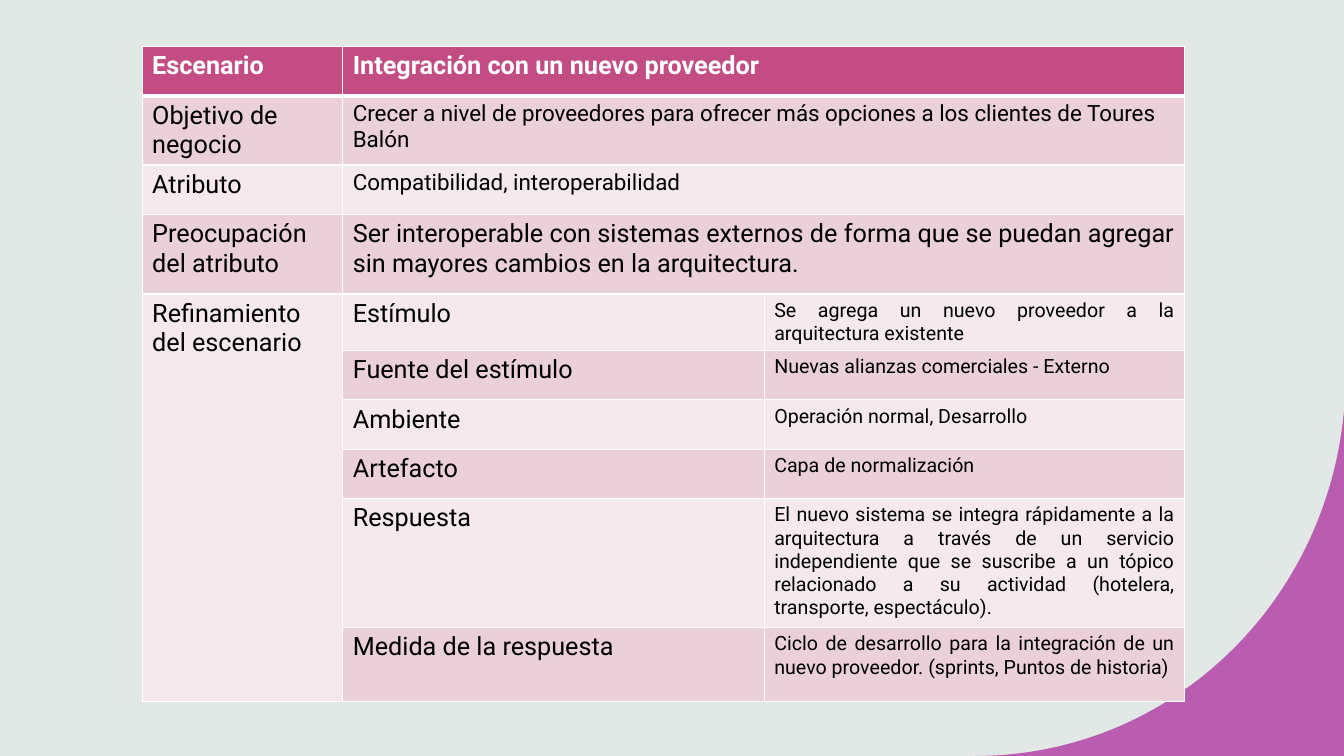
from typing import NamedTuple

from lxml import etree
from pptx import Presentation
from pptx.dml.color import RGBColor
from pptx.enum import text
from pptx.oxml.ns import qn
from pptx.util import Inches, Pt

COLORS = {
    "background": "E2E8E5",
    "corner": "B13BA3",
    "header": "C34D83",
    "dark_band": "E9D0D9",
    "light_band": "F5E9ED",
    "white": "FFFFFF",
    "black": "000000",
}
FONT = "Roboto"
COLUMN_WIDTHS = [1.99, 4.18, 4.17]
ROW_HEIGHTS = [0.49, 0.68, 0.49, 0.79, 0.56, 0.49, 0.49, 0.49, 1.28, 0.73]


class Entry(NamedTuple):
    row: int
    column: int
    words: str
    size: int = 18
    justified: bool = False
    rows: int = 1
    columns: int = 1


REFINEMENTS = [
    ("Estímulo", "Se agrega un nuevo proveedor a la arquitectura existente"),
    ("Fuente del estímulo", "Nuevas alianzas comerciales - Externo"),
    ("Ambiente", "Operación normal, Desarrollo"),
    ("Artefacto", "Capa de normalización"),
    ("Respuesta", "El nuevo sistema se integra rápidamente a la arquitectura a través de un "
     "servicio independiente que se suscribe a un tópico relacionado a su actividad "
     "(hotelera, transporte, espectáculo)."),
    ("Medida de la respuesta", "Ciclo de desarrollo para la integración de un nuevo "
     "proveedor. (sprints, Puntos de historia)"),
]
ENTRIES = [
    Entry(0, 0, "Escenario"),
    Entry(0, 1, "Integración con un nuevo proveedor", columns=2),
    Entry(1, 0, "Objetivo de negocio"),
    Entry(1, 1, "Crecer a nivel de proveedores para ofrecer más opciones a los clientes "
          "de Toures Balón", 16, columns=2),
    Entry(2, 0, "Atributo"),
    Entry(2, 1, "Compatibilidad, interoperabilidad", 16, columns=2),
    Entry(3, 0, "Preocupación del atributo"),
    Entry(3, 1, "Ser interoperable con sistemas externos de forma que se puedan agregar "
          "sin mayores cambios en la arquitectura.", justified=True, columns=2),
    Entry(4, 0, "Refinamiento del escenario", rows=len(REFINEMENTS)),
]
for row_index, (label, detail) in enumerate(REFINEMENTS, start=4):
    ENTRIES.append(Entry(row_index, 1, label, justified=True))
    ENTRIES.append(Entry(row_index, 2, detail, 14, justified=True))


def color(name: str) -> RGBColor:
    """Return a named colour."""
    return RGBColor.from_string(COLORS[name])


def curve_point(step: float) -> tuple[int, int]:
    """Return a point on the curved edge of the corner, in EMU."""
    weights = ((1 - step) ** 3, 3 * step * (1 - step) ** 2, 3 * step ** 2 * (1 - step), step ** 3)
    controls = ((9.67, 7.5), (11.58, 7.5), (13.15, 6.02), (13.33, 4.08))
    return tuple(Inches(sum(w * c[axis] for w, c in zip(weights, controls))) for axis in (0, 1))


def draw_corner(page) -> None:
    """Draw the translucent curved corner."""
    builder = page.shapes.build_freeform(Inches(9.67), Inches(7.5))
    edge = [curve_point(step / 60) for step in range(1, 61)]
    builder.add_line_segments(edge + [(Inches(13.33), Inches(7.5))])
    corner = builder.convert_to_shape()
    corner.shadow.inherit = False
    corner.line.fill.background()
    corner.fill.solid()
    corner.fill.fore_color.rgb = color("corner")
    tint = corner.fill._xPr.find(".//" + qn("a:srgbClr"))
    etree.SubElement(tint, qn("a:alpha"), val="80000")


def format_cell(cell, row: int, column: int) -> None:
    """Give a cell its white borders and band colour."""
    properties = cell._tc.get_or_add_tcPr()
    for index, side in enumerate(("L", "R", "T", "B")):
        thick = (row, side) in ((0, "B"), (1, "T"))
        border = etree.Element(qn(f"a:ln{side}"), w=str(Pt(3 if thick else 1)))
        paint = etree.SubElement(border, qn("a:solidFill"))
        etree.SubElement(paint, qn("a:srgbClr"), val=COLORS["white"])
        properties.insert(index, border)
    dark = row % 2 == 1 and not (column == 0 and row > 4)
    cell.fill.solid()
    cell.fill.fore_color.rgb = color("header" if row == 0 else "dark_band" if dark else "light_band")


def write_entry(table, entry: Entry) -> None:
    """Merge the cells of an entry and write its words."""
    cell = table.cell(entry.row, entry.column)
    if entry.rows * entry.columns > 1:
        cell.merge(table.cell(entry.row + entry.rows - 1, entry.column + entry.columns - 1))
    cell.text_frame.text = entry.words
    para = cell.text_frame.paragraphs[0]
    para.alignment = text.PP_ALIGN.JUSTIFY if entry.justified else text.PP_ALIGN.LEFT
    span = para.runs[0]
    span.font.name = FONT
    span.font.size = Pt(entry.size)
    span.font.bold = entry.row == 0
    span.font.color.rgb = color("white" if entry.row == 0 else "black")


def draw_table(page) -> None:
    """Draw the scenario table."""
    frame = page.shapes.add_table(
        len(ROW_HEIGHTS), len(COLUMN_WIDTHS), Inches(1.41), Inches(0.46),
        Inches(sum(COLUMN_WIDTHS)), Inches(sum(ROW_HEIGHTS)))
    table = frame.table
    for column, width in zip(table.columns, COLUMN_WIDTHS):
        column.width = Inches(width)
    for row, height in zip(table.rows, ROW_HEIGHTS):
        row.height = Inches(height)
    for row in range(len(ROW_HEIGHTS)):
        for column in range(len(COLUMN_WIDTHS)):
            format_cell(table.cell(row, column), row, column)
    for entry in ENTRIES:
        write_entry(table, entry)


def main() -> None:
    """Build and save the deck."""
    deck = Presentation()
    deck.slide_width, deck.slide_height = Inches(13.33), Inches(7.5)
    page = deck.slides.add_slide(deck.slide_layouts[6])
    page.background.fill.solid()
    page.background.fill.fore_color.rgb = color("background")
    draw_corner(page)
    draw_table(page)
    deck.save("out.pptx")


if __name__ == "__main__":
    main()
